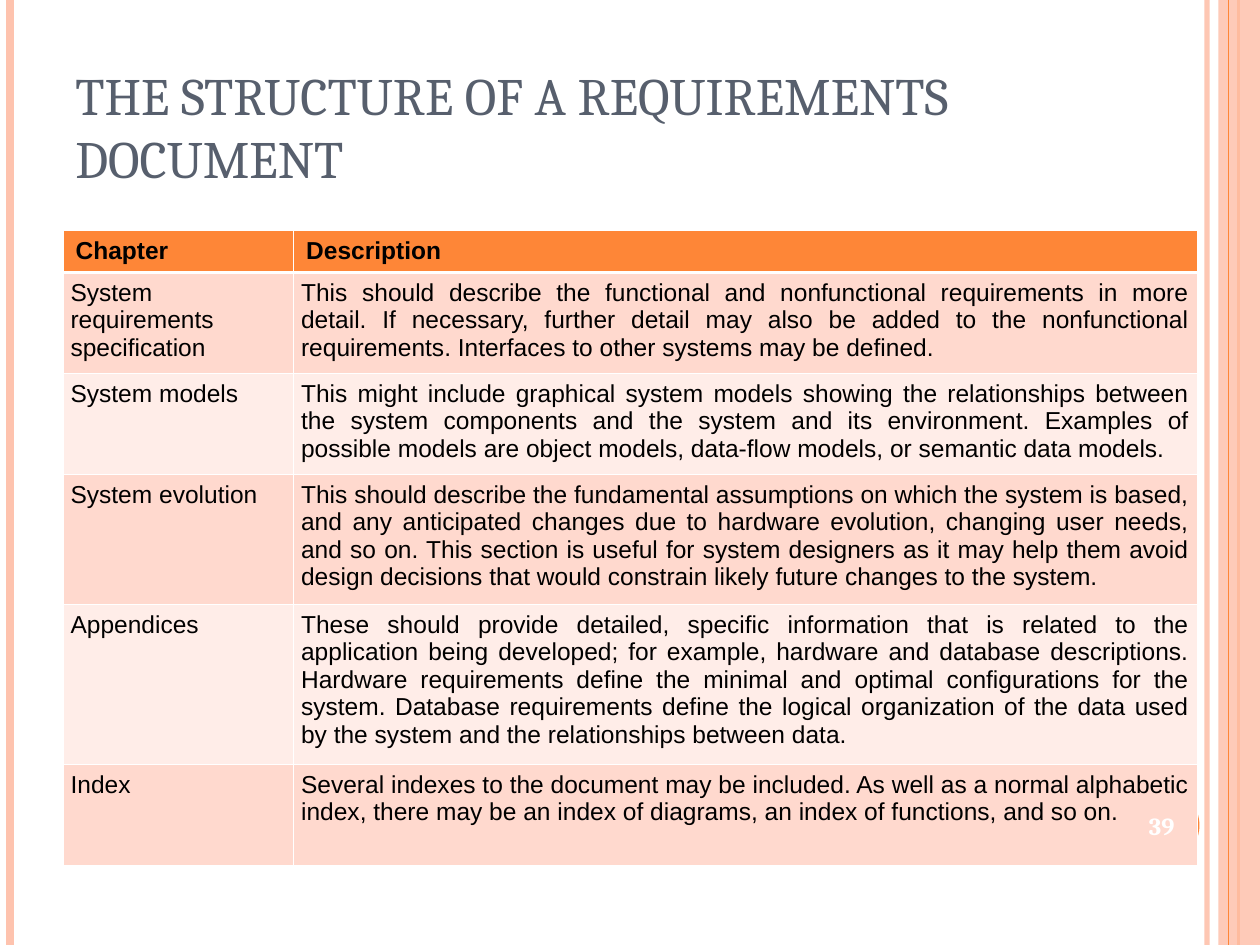
from lxml import etree
from pptx import Presentation
from pptx.dml.color import RGBColor
from pptx.enum.shapes import MSO_CONNECTOR, MSO_SHAPE
from pptx.enum.text import MSO_ANCHOR, PP_ALIGN
from pptx.oxml.ns import qn
from pptx.util import Inches, Pt

ORANGE, PEACH, WHITE = "FE8637", "FEC3AE", "FFFFFF"
BANDS = ["FFD9CE", "FFEDE8"]
LEFT, JUSTIFY = PP_ALIGN.LEFT, PP_ALIGN.JUSTIFY


def write(frame, text, color, align=LEFT, **font):
    """Put one formatted paragraph into a text frame."""
    frame.word_wrap = True
    para = frame.paragraphs[0]
    para.alignment = align
    span = para.add_run()
    span.text = text
    span.font.color.rgb = RGBColor.from_string(color)
    for name, value in font.items():
        setattr(span.font, name, value)


def set_fill(fill, color, opacity=100):
    fill.solid()
    fill.fore_color.rgb = RGBColor.from_string(color)
    if opacity < 100:
        tint = fill._xPr.find(".//" + qn("a:srgbClr"))
        etree.SubElement(tint, qn("a:alpha"), val=str(opacity * 1000))


deck = Presentation()
deck.slide_width, deck.slide_height = Inches(10), Inches(7.5)
page = deck.slides.add_slide(deck.slide_layouts[6])

# Side stripes: x, colour, width, opacity; the band lies under the last one
stripes = [(9.58, PEACH, 3, 93), (0.08, PEACH, 4.5, 100),
           (9.83, ORANGE, 1.5, 100), (9.75, ORANGE, 0.75, 100)]
decor = [(MSO_SHAPE.RECTANGLE, (9.67, 0, 0.33, 7.5), PEACH, 87),
         (MSO_SHAPE.OVAL, (8.92, 6.25, 0.6, 0.6), ORANGE, 100)]

for x, color, width, opacity in stripes:
    if x == 9.75:
        for preset, place, tone, cover in decor:
            shape = page.shapes.add_shape(preset, *map(Inches, place))
            shape.shadow.inherit = False
            set_fill(shape.fill, tone, cover)
            shape.line.fill.background()
    stripe = page.shapes.add_connector(
        MSO_CONNECTOR.STRAIGHT, Inches(x), 0, Inches(x), deck.slide_height)
    stripe.line.width = Pt(width)
    set_fill(stripe.line.fill, color, opacity)
    etree.SubElement(stripe._element.spPr, qn("a:effectLst"))

title = page.shapes.add_textbox(Inches(0.5), Inches(0.3), Inches(8.17), Inches(1.25))
title.text_frame.vertical_anchor = MSO_ANCHOR.BOTTOM
write(title.text_frame, "THE STRUCTURE OF A REQUIREMENTS DOCUMENT", "575F6D",
      size=Pt(30), name="Cambria")

rows = [
    ("Chapter", "Description"),
    ("System requirements specification",
     "This should describe the functional and nonfunctional requirements in more "
     "detail. If necessary, further detail may also be added to the nonfunctional "
     "requirements. Interfaces to other systems may be defined."),
    ("System models",
     "This might include graphical system models showing the relationships between "
     "the system components and the system and its environment. Examples of "
     "possible models are object models, data-flow models, or semantic data models."),
    ("System evolution",
     "This should describe the fundamental assumptions on which the system is based, "
     "and any anticipated changes due to hardware evolution, changing user needs, "
     "and so on. This section is useful for system designers as it may help them avoid "
     "design decisions that would constrain likely future changes to the system."),
    ("Appendices",
     "These should provide detailed, specific information that is related to the "
     "application being developed; for example, hardware and database descriptions. "
     "Hardware requirements define the minimal and optimal configurations for the "
     "system. Database requirements define the logical organization of the data used "
     "by the system and the relationships between data."),
    ("Index",
     "Several indexes to the document may be included. As well as a normal alphabetic "
     "index, there may be an index of diagrams, an index of functions, and so on."),
]
heights = [0.33, 0.8, 0.8, 1.03, 1.27, 0.8]

table = page.shapes.add_table(len(rows), 2, Inches(0.5), Inches(1.83),
                              Inches(9), Inches(sum(heights))).table
for column, width in zip(table.columns, [1.83, 7.17]):
    column.width = Inches(width)

for r, texts in enumerate(rows):
    table.rows[r].height = Inches(heights[r])
    header = r == 0
    for c, text in enumerate(texts):
        cell = table.cell(r, c)
        cell.margin_left = cell.margin_right = Inches(0.1 if header else 0.06)
        write(cell.text_frame, text, "000000", LEFT if header else JUSTIFY,
              size=Pt(14), name="Arial", bold=header)
        props = cell._tc.get_or_add_tcPr()
        for side in "LRTB":
            thick = (r, side) in [(0, "B"), (1, "T")]
            border = etree.SubElement(props, qn("a:ln" + side),
                                      w=str(Pt(1.47 if thick else 0.45)))
            paint = etree.SubElement(border, qn("a:solidFill"))
            etree.SubElement(paint, qn("a:srgbClr"), val=WHITE)
        set_fill(cell.fill, ORANGE if header else BANDS[(r - 1) % 2])

number = page.shapes.add_textbox(Inches(8.92), Inches(6.25), Inches(0.6), Inches(0.6))
number.text_frame.vertical_anchor = MSO_ANCHOR.MIDDLE
write(number.text_frame, "39", WHITE, PP_ALIGN.CENTER,
      size=Pt(14), name="Cambria", bold=True)

deck.save("out.pptx")
